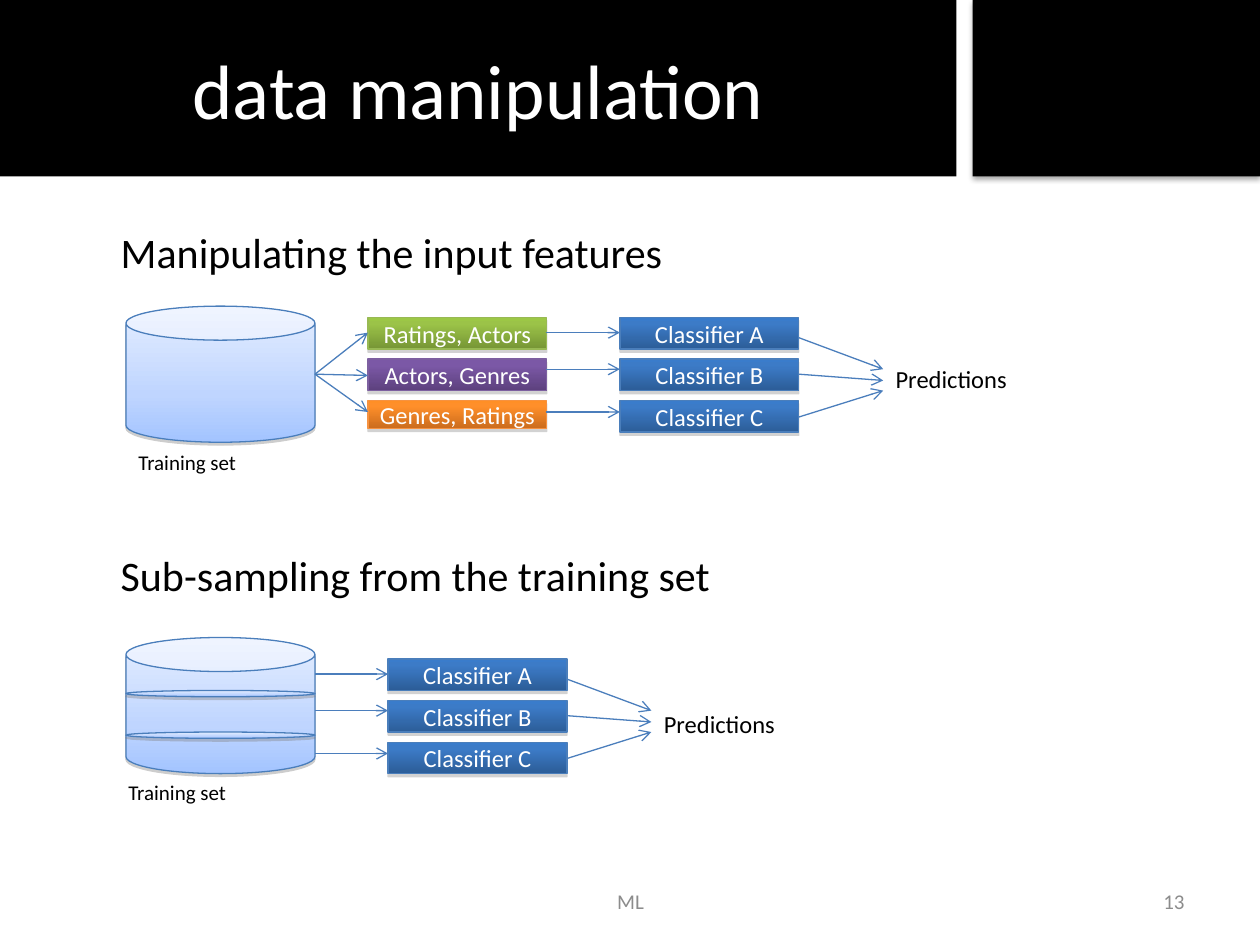
from lxml import etree
from pptx import Presentation
from pptx.dml.color import RGBColor
from pptx.enum.shapes import MSO_CONNECTOR, MSO_SHAPE
from pptx.enum.text import MSO_ANCHOR, PP_ALIGN
from pptx.oxml.ns import qn
from pptx.util import Inches, Pt

RECT, CAN, OVAL = MSO_SHAPE.RECTANGLE, MSO_SHAPE.CAN, MSO_SHAPE.OVAL
LEFT, CENTER, RIGHT = PP_ALIGN.LEFT, PP_ALIGN.CENTER, PP_ALIGN.RIGHT
TOP, MIDDLE = MSO_ANCHOR.TOP, MSO_ANCHOR.MIDDLE
STRAIGHT = MSO_CONNECTOR.STRAIGHT

COLORS = {
    "black": "000000", "white": "FFFFFF", "grey": "8C8C8C", "shadow": "808080",
    "arrow": "4B7EBC", "blue": "4A7EBB", "green": "98B954",
    "purple": "7D60A0", "orange": "F69240",
}
# Gradient stops run from the bottom edge to the top edge
GRADIENTS = {
    "blue": [(0, "2C5D98"), (80, "3C7BC7"), (100, "3A7CCB")],
    "green": [(0, "769535"), (80, "9BC348"), (100, "9CC746")],
    "purple": [(0, "5D417E"), (80, "7B58A6"), (100, "7B57A8")],
    "orange": [(0, "CB6C1D"), (80, "FF8F2A"), (100, "FF8F26")],
    "store": [(0, "A3C4FF"), (35, "BFD5FF"), (100, "E5EEFF")],
}
BOX_WIDTH, BOX_HEIGHT, BOX_PITCH = 1.42, 0.25, 0.33
CAN_WIDTH, CAN_HEIGHT = 1.5, 1.08


def rgb(name):
    return RGBColor.from_string(COLORS[name])


def color_xml(parent, value, alpha=None):
    color = etree.SubElement(parent, qn("a:srgbClr"), val=value)
    if alpha:
        etree.SubElement(color, qn("a:alpha"), val=str(alpha * 1000))


class Diagram:
    font = "Calibri"
    line_width = Pt(0.75)

    def __init__(self, slide):
        self.slide = slide

    def add_text(self, frame, text, size, color, align=LEFT, anchor=TOP):
        frame.vertical_anchor = anchor
        paragraph = frame.paragraphs[0]
        paragraph.alignment = align
        run = paragraph.add_run()
        run.text = text
        run.font.name = self.font
        run.font.size = Pt(size)
        run.font.color.rgb = rgb(color)

    def title(self, text, left, top, width, height):
        title = self.slide.shapes.title
        title.left, title.top = Inches(left), Inches(top)
        title.width, title.height = Inches(width), Inches(height)
        title.fill.solid()
        title.fill.fore_color.rgb = rgb("black")
        self.add_text(title.text_frame, text, 44, "white", CENTER, MIDDLE)

    def label(self, text, left, top, width, height, size,
              color="black", align=LEFT, anchor=TOP):
        box = self.slide.shapes.add_textbox(
            Inches(left), Inches(top), Inches(width), Inches(height))
        box.text_frame.word_wrap = True
        self.add_text(box.text_frame, text, size, color, align, anchor)

    def shape(self, kind, left, top, width, height, shadow):
        shape = self.slide.shapes.add_shape(
            kind, Inches(left), Inches(top), Inches(width), Inches(height))
        shape.shadow.inherit = False
        color, alpha, blur, distance = shadow
        effects = shape._element.spPr.find(qn("a:effectLst"))
        outer = etree.SubElement(
            effects, qn("a:outerShdw"), blurRad=str(Pt(blur)),
            dist=str(Pt(distance)), dir="5400000", rotWithShape="0")
        color_xml(outer, COLORS[color], alpha)
        return shape

    def band(self, left, top, width, height):
        band = self.shape(RECT, left, top, width, height, ("black", 35, 3.1, 1.8))
        band.fill.solid()
        band.fill.fore_color.rgb = rgb("black")
        band.line.fill.background()

    def shaded(self, kind, left, top, width, height, gradient, line, shadow):
        shape = self.shape(kind, left, top, width, height, shadow)
        shape.fill.gradient()
        shape.fill.gradient_angle = 90
        stops = next(shape._element.spPr.iter(qn("a:gsLst")))
        for stop in list(stops):
            stops.remove(stop)
        for position, value in GRADIENTS[gradient]:
            color_xml(etree.SubElement(stops, qn("a:gs"), pos=str(position * 1000)), value)
        shape.line.color.rgb = rgb(line)
        shape.line.width = self.line_width
        return shape

    def box(self, text, left, top, color="blue", height=BOX_HEIGHT):
        box = self.shaded(RECT, left, top, BOX_WIDTH, height, color, color,
                          ("shadow", 35, 0, 1.8))
        box.text_frame.margin_left = box.text_frame.margin_right = Inches(0.04)
        self.add_text(box.text_frame, text, 14, "white", CENTER, MIDDLE)

    def store(self, kind, left, top, height):
        return self.shaded(kind, left, top, CAN_WIDTH, height, "store", "blue",
                           ("shadow", 38, 0, 1.6))

    def arrow(self, x1, y1, x2, y2):
        arrow = self.slide.shapes.add_connector(
            STRAIGHT, Inches(x1), Inches(y1), Inches(x2), Inches(y2))
        arrow.line.color.rgb = rgb("arrow")
        arrow.line.width = self.line_width
        properties = arrow._element.spPr
        etree.SubElement(properties.find(qn("a:ln")), qn("a:tailEnd"), type="arrow")
        etree.SubElement(properties, qn("a:effectLst"))

    def training_set(self, top, label_left, label_top):
        can = self.store(CAN, 1, top, CAN_HEIGHT)
        can.adjustments[0] = 0.25
        self.label("Training set", label_left, label_top, 1.58, 0.3, 12)

    def classifiers(self, source_x, left, top, predictions_top):
        """Three classifiers, fed from source_x and joined into predictions."""
        right = left + BOX_WIDTH
        target = right + 0.67
        for row, name in enumerate("ABC"):
            self.box(f"Classifier {name}", left, top + row * BOX_PITCH)
        for entry, join in ((0.12, 0.41), (0.41, 0.5), (0.75, 0.58)):
            self.arrow(source_x, top + entry, left, top + entry)
            self.arrow(right, top + entry + 0.04, target, top + join)
        self.label("Predictions", target, predictions_top, 1.1, 0.34, 14)


prs = Presentation()
prs.slide_width, prs.slide_height = Inches(10), Inches(7.5)
diagram = Diagram(prs.slides.add_slide(prs.slide_layouts[5]))

# Header
diagram.band(7.72, 0, 2.28, 1.4)
diagram.title("data manipulation", 0, 0, 7.59, 1.4)

# Section headings
for heading, top in (("Manipulating the input features", 1.75),
                     ("Sub-sampling from the training set", 4.31)):
    diagram.label(heading, 0.86, top, 8.73, 0.5, 24)

# Input features: one training set, three feature subsets
diagram.training_set(2.43, 1, 3.52)
features = (("Ratings, Actors", "green", 0.25, 2.64),
            ("Actors, Genres", "purple", 0.25, 2.98),
            ("Genres, Ratings", "orange", 0.22, 3.27))
for row, (text, color, height, arrow_y) in enumerate(features):
    diagram.box(text, 2.92, 2.52 + row * BOX_PITCH, color, height)
    diagram.arrow(2.5, 2.97, 2.92, arrow_y)
diagram.classifiers(4.33, 4.92, 2.52, 2.84)

# Sub-sampling: the training set cut into three slices
diagram.training_set(5.06, 0.92, 6.14)
for cut_top in (5.48, 5.81):
    diagram.store(OVAL, 1, cut_top, 0.05)
diagram.classifiers(2.5, 3.08, 5.23, 5.58)

# Footer
diagram.label("ML", 3.42, 6.95, 3.17, 0.4, 12, "grey", CENTER, MIDDLE)
diagram.label("13", 7.17, 6.95, 2.33, 0.4, 12, "grey", RIGHT, MIDDLE)

prs.save("out.pptx")
